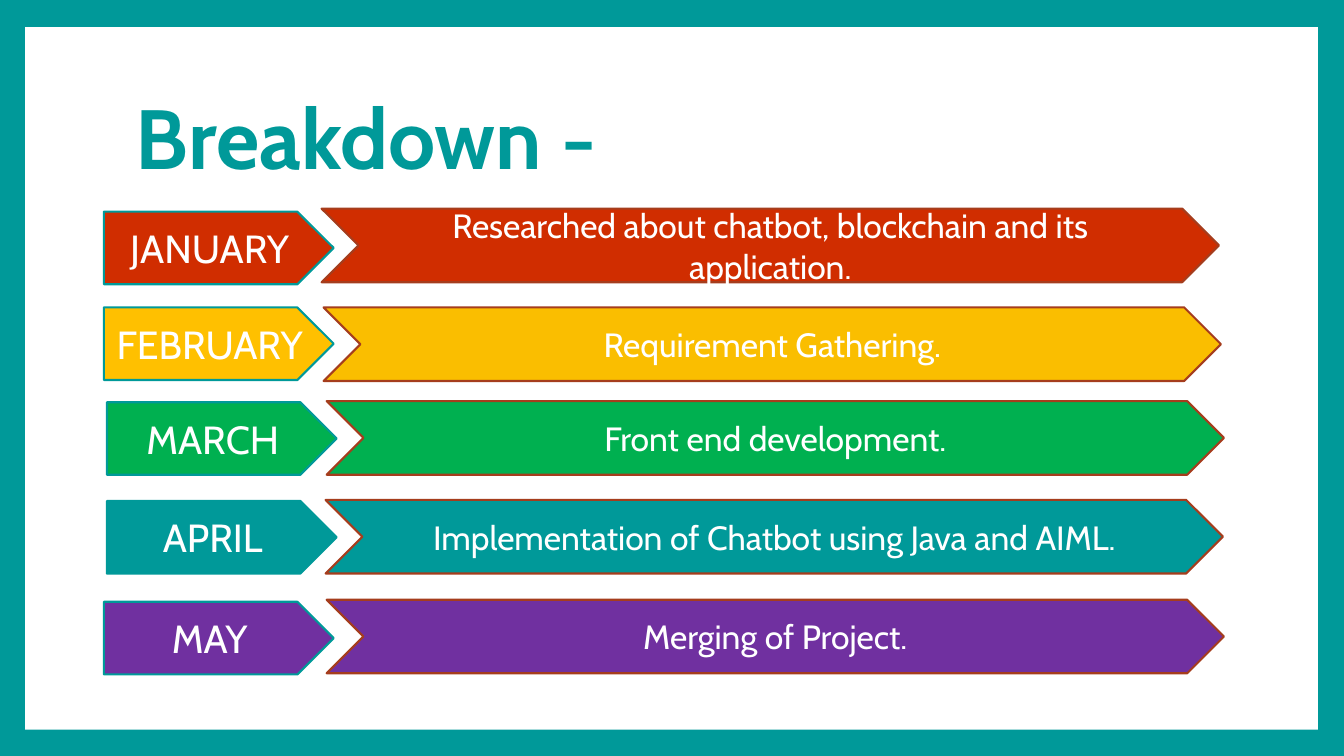
from dataclasses import dataclass

from pptx import Presentation
from pptx.dml.color import RGBColor
from pptx.enum.shapes import MSO_SHAPE
from pptx.enum.text import MSO_ANCHOR, PP_ALIGN
from pptx.shapes.autoshape import Shape
from pptx.slide import Slide
from pptx.util import Inches, Pt

TEAL = "009999"
WHITE = "FFFFFF"
RUST = "A53D1D"
FONT = "Cabin"


@dataclass(frozen=True)
class Box:
    left: float
    top: float
    width: float
    height: float


@dataclass(frozen=True)
class Step:
    month: str
    task: str
    tag: Box
    bar: Box
    fill: str
    shade: str


def tag(left: float, top: float) -> Box:
    return Box(left, top, 2.28, 0.72)


def bar(left: float, top: float) -> Box:
    return Box(left, top, 8.9, 0.73)


STEPS = [
    Step("JANUARY", "Researched about chatbot, blockchain and its application.",
         tag(1.03, 2.1), bar(3.19, 2.07), "D02D00", "D02D00"),
    Step("FEBRUARY", "Requirement Gathering.",
         tag(1.03, 3.05), bar(3.21, 3.05), "FFC000", "FABE00"),
    Step("MARCH", "Front end development.",
         tag(1.06, 3.99), bar(3.24, 3.98), "00B050", "00B050"),
    Step("APRIL", "Implementation of Chatbot using Java and AIML.",
         tag(1.06, 4.97), bar(3.23, 4.96), TEAL, TEAL),
    Step("MAY", "Merging of Project.",
         tag(1.03, 5.97), bar(3.24, 5.95), "7030A0", "7030A0"),
]


def color(code: str) -> RGBColor:
    return RGBColor.from_string(code)


def place(box: Box) -> tuple:
    return tuple(Inches(n) for n in (box.left, box.top, box.width, box.height))


def write(shape: Shape, text: str, size: int, ink: str, align: PP_ALIGN,
          bold: bool = False) -> None:
    frame = shape.text_frame
    frame.text = text
    frame.word_wrap = True
    frame.vertical_anchor = MSO_ANCHOR.MIDDLE
    line = frame.paragraphs[0]
    line.alignment = align
    font = line.runs[0].font
    font.name = FONT
    font.size = Pt(size)
    font.bold = bold
    font.color.rgb = color(ink)


def draw(slide: Slide, kind: MSO_SHAPE, box: Box, fill: str,
         edge: str | None = None) -> Shape:
    """Add a flat preset shape, outlined only when an edge colour is given."""
    shape = slide.shapes.add_shape(kind, *place(box))
    shape.shadow.inherit = False
    shape.fill.solid()
    shape.fill.fore_color.rgb = color(fill)
    if edge:
        shape.line.color.rgb = color(edge)
        shape.line.width = Pt(1.5)
    else:
        shape.line.fill.background()
    return shape


def main() -> None:
    deck = Presentation()
    deck.slide_width = Inches(13.33)
    deck.slide_height = Inches(7.5)
    slide = deck.slides.add_slide(deck.slide_layouts[6])
    back = slide.background.fill
    back.solid()
    back.fore_color.rgb = color(TEAL)
    draw(slide, MSO_SHAPE.RECTANGLE, Box(0.25, 0.27, 12.82, 6.97), WHITE)

    title = slide.shapes.add_textbox(*place(Box(1.25, 0.67, 10.8, 1.48)))
    write(title, "Breakdown -", 60, TEAL, PP_ALIGN.LEFT, bold=True)
    title.text_frame.paragraphs[0].line_spacing = 0.9

    for step in STEPS:
        month = draw(slide, MSO_SHAPE.PENTAGON, step.tag, step.fill, TEAL)
        write(month, step.month, 28, WHITE, PP_ALIGN.CENTER)
        task = draw(slide, MSO_SHAPE.CHEVRON, step.bar, step.shade, RUST)
        write(task, step.task, 24, WHITE, PP_ALIGN.CENTER)

    deck.save("out.pptx")


if __name__ == "__main__":
    main()
